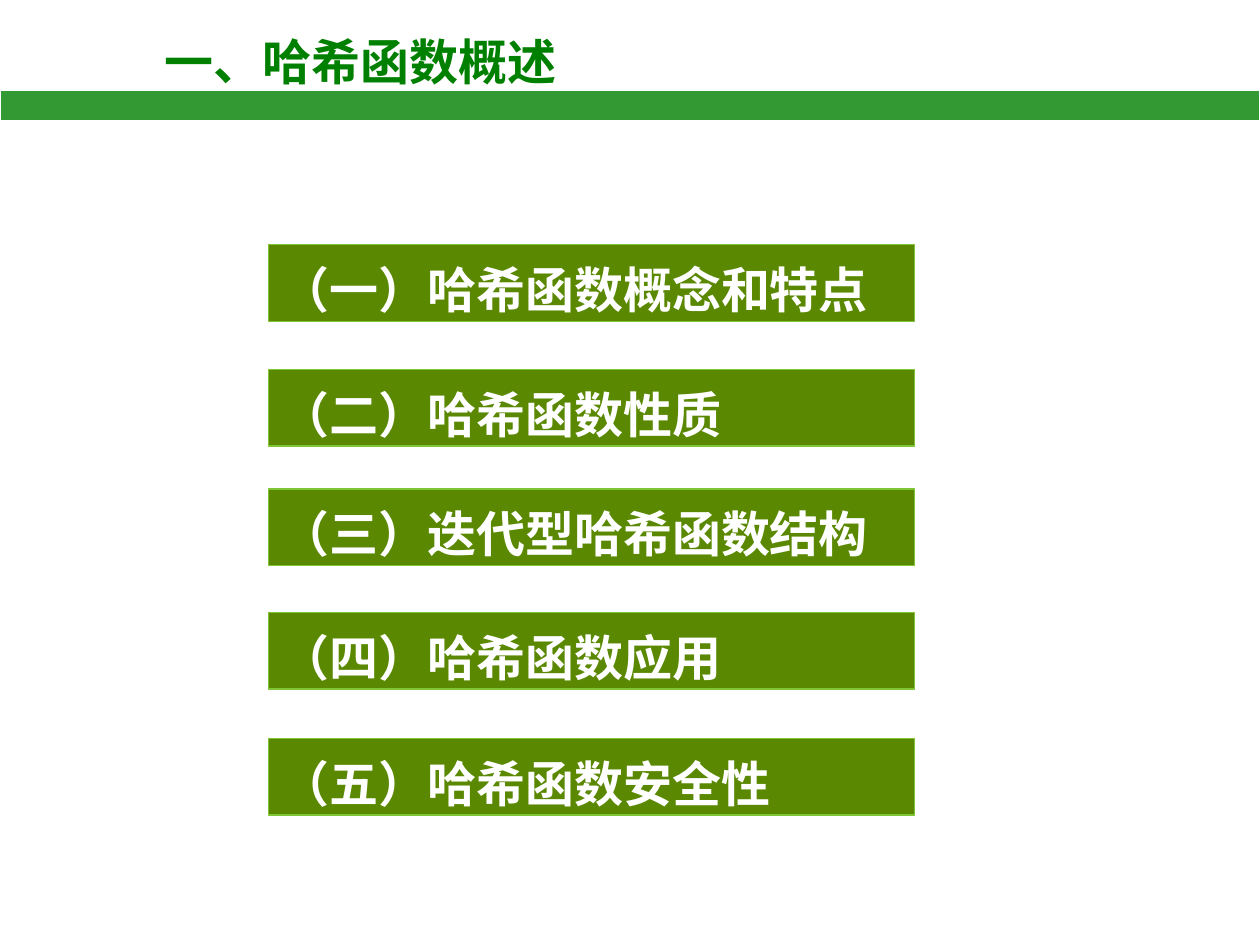
from pptx import Presentation
from pptx.dml.color import RGBColor
from pptx.enum.shapes import MSO_SHAPE
from pptx.enum.text import MSO_ANCHOR, PP_ALIGN
from pptx.util import Inches, Pt

RECTANGLE = MSO_SHAPE.RECTANGLE
MIDDLE = MSO_ANCHOR.MIDDLE
LEFT = PP_ALIGN.LEFT

TITLE = "一、哈希函数概述"
# Section name and top of its bar
SECTIONS = [
    ("（一）哈希函数概念和特点", 1.94),
    ("（二）哈希函数性质", 2.93),
    ("（三）迭代型哈希函数结构", 3.88),
    ("（四）哈希函数应用", 4.86),
    ("（五）哈希函数安全性", 5.86),
]
BAR_LEFT, BAR_WIDTH, BAR_HEIGHT = 2.13, 5.13, 0.61


def color(hex_value):
    return RGBColor.from_string(hex_value)


def add_bar(slide, left, top, width, height, fill, line):
    shape = slide.shapes.add_shape(
        RECTANGLE, Inches(left), Inches(top), Inches(width), Inches(height))
    shape.shadow.inherit = False
    shape.fill.solid()
    shape.fill.fore_color.rgb = color(fill)
    shape.line.color.rgb = color(line)
    shape.line.width = Pt(0.75)
    return shape


def write(shape, text, font_name, font_color):
    frame = shape.text_frame
    frame.word_wrap = True
    frame.vertical_anchor = MIDDLE
    paragraph = frame.paragraphs[0]
    paragraph.text = text
    paragraph.alignment = LEFT
    paragraph.font.name = font_name
    paragraph.font.size = Pt(28)
    paragraph.font.bold = True
    paragraph.font.color.rgb = color(font_color)
    return paragraph


def main():
    presentation = Presentation()
    presentation.slide_width = Inches(10)
    presentation.slide_height = Inches(7.5)
    slide = presentation.slides.add_slide(presentation.slide_layouts[6])

    # Title and the band below it
    title = slide.shapes.add_textbox(
        Inches(1.21), Inches(0.2), Inches(4.47), Inches(0.57))
    write(title, TITLE, "Noto Sans CJK SC", "008000")
    add_bar(slide, 0, 0.72, 10, 0.24, "339933", "FFFFFF")

    # Section bars
    for text, top in SECTIONS:
        bar = add_bar(slide, BAR_LEFT, top, BAR_WIDTH, BAR_HEIGHT,
                      "5A8800", "80C535")
        paragraph = write(bar, text, "Times New Roman", "FFFFFF")
        paragraph.line_spacing = 1.2
        paragraph.space_before = Pt(6)

    presentation.save("out.pptx")


if __name__ == "__main__":
    main()
